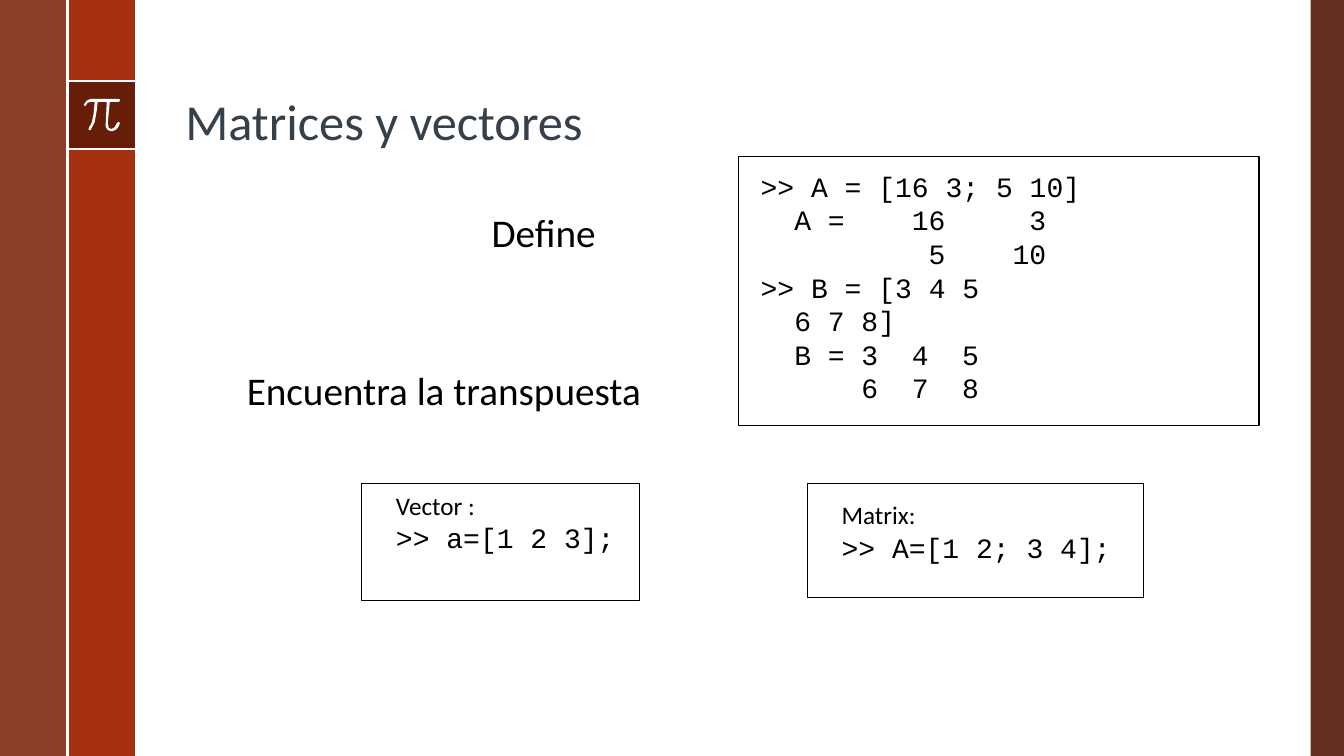
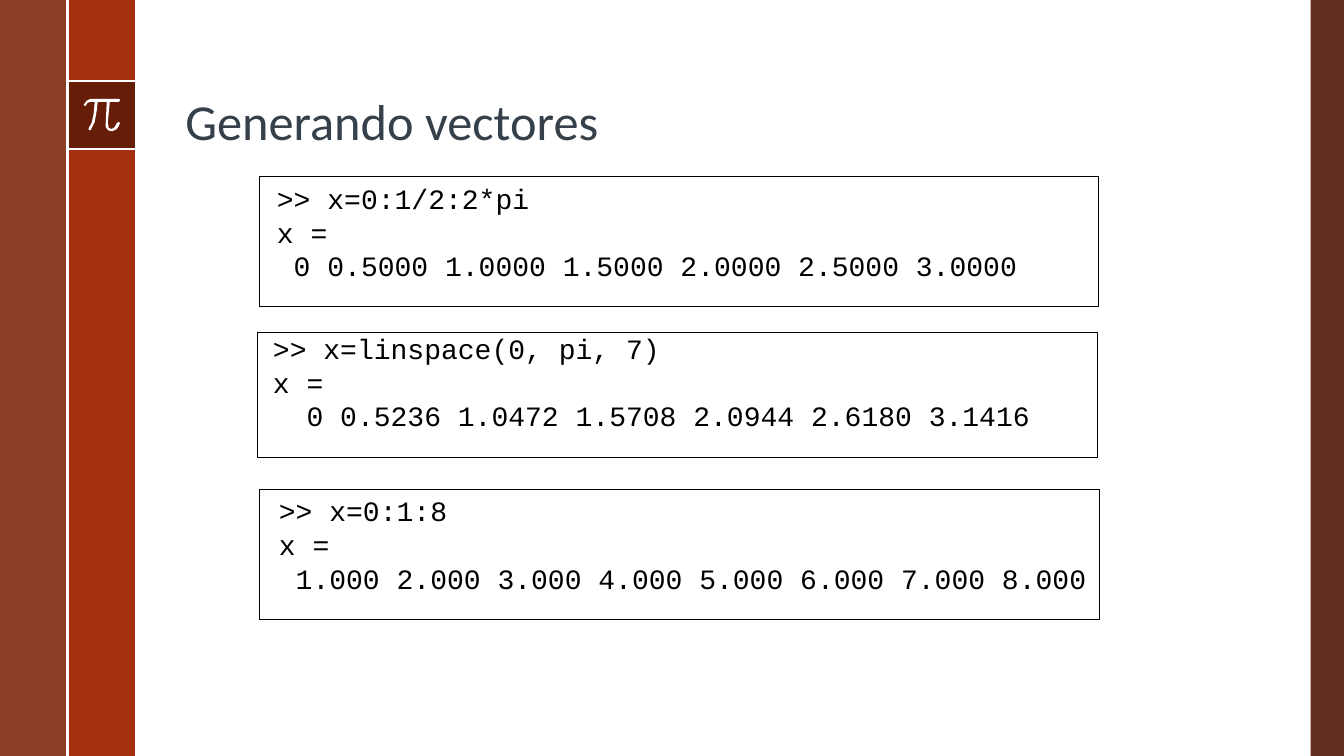
from pptx import Presentation
from pptx.dml.color import RGBColor
from pptx.enum.shapes import MSO_CONNECTOR, MSO_SHAPE
from pptx.enum.text import MSO_ANCHOR
from pptx.oxml.ns import qn
from pptx.util import Cm, Pt
from lxml.etree import SubElement

COLOURS = {
    "rust": "A5300F",
    "brown": "7C240B",
    "dark": "521808",
    "title": "35404A",
    "ink": "000000",
    "white": "FFFFFF",
}
BODY_FONT = "Calibri"
CODE_FONT = "Courier New"
CODE_SIZE = 20
CODE_COLUMN = Pt(CODE_SIZE * 0.6)  # width of one monospaced character

WIDTH, HEIGHT = 33.87, 19.05
RAIL = 1.7
RIGHT_BAND = 0.84
TILE_TOP = 2.05

# Outline of the pi sign, in hundredths of an inch
PI_UNIT = Cm(0.0254)
PI_OUTLINE = [
    (118, 98), (90, 98), (86, 100), (83, 104), (84, 105), (85, 105),
    (87, 102), (90, 101), (94, 101), (93, 113), (91, 122), (88, 127),
    (88, 129), (90, 129), (94, 121), (96, 110), (97, 101), (106, 101),
    (105, 122), (105, 126), (107, 129), (110, 130), (112, 130), (116, 128),
    (118, 125), (119, 122), (118, 121), (116, 122), (114, 126), (111, 128),
    (108, 127), (107, 122), (109, 101), (118, 101), (119, 100), (119, 99),
]


def rgb(name):
    return RGBColor.from_string(COLOURS[name])


# Shapes and lines
def add_band(page, left, top, width, height, colour, opacity=100):
    band = page.shapes.add_shape(
        MSO_SHAPE.RECTANGLE, Cm(left), Cm(top), Cm(width), Cm(height))
    band.shadow.inherit = False
    band.fill.solid()
    band.fill.fore_color.rgb = rgb(colour)
    band.line.fill.background()
    if opacity < 100:
        tint = band.element.spPr.find(".//" + qn("a:srgbClr"))
        SubElement(tint, qn("a:alpha"), val=str(opacity * 1000))


def add_rule(page, x1, y1, x2, y2):
    rule = page.shapes.add_connector(
        MSO_CONNECTOR.STRAIGHT, Cm(x1), Cm(y1), Cm(x2), Cm(y2))
    rule.line.color.rgb = rgb("white")
    rule.line.width = Pt(1.5)
    SubElement(rule.element.spPr, qn("a:effectLst"))


def add_pi(page):
    builder = page.shapes.build_freeform(*PI_OUTLINE[0], scale=PI_UNIT)
    builder.add_line_segments(PI_OUTLINE[1:], close=True)
    sign = builder.convert_to_shape()
    sign.shadow.inherit = False
    sign.fill.solid()
    sign.fill.fore_color.rgb = rgb("white")
    sign.line.fill.background()


def add_frame(page, left, top, width, height):
    frame = page.shapes.add_shape(
        MSO_SHAPE.RECTANGLE, Cm(left), Cm(top), Cm(width), Cm(height))
    frame.shadow.inherit = False
    frame.fill.background()
    frame.line.color.rgb = rgb("ink")
    frame.line.width = Pt(0.75)


# Text
def style(para, font, size, colour="ink"):
    for span in para.runs:
        span.font.name = font
        span.font.size = Pt(size)
        span.font.color.rgb = rgb(colour)


def add_box(page, left, top, width, height):
    box = page.shapes.add_textbox(Cm(left), Cm(top), Cm(width), Cm(height))
    box.text_frame.word_wrap = True
    return box.text_frame


def add_prose(page, text, place, size=28, colour="ink", anchor=MSO_ANCHOR.TOP):
    frame = add_box(page, *place)
    frame.vertical_anchor = anchor
    frame.text = text
    para = frame.paragraphs[0]
    para.line_spacing = 0.9
    style(para, BODY_FONT, size, colour)


def set_tabs(para, columns):
    tabs = SubElement(para._p.get_or_add_pPr(), qn("a:tabLst"))
    for column in columns:
        SubElement(tabs, qn("a:tab"), pos=str(column * CODE_COLUMN), algn="l")


def add_code(page, lines, place, caption=None):
    """Each line is its text, followed by the character columns of its tabs."""
    frame = add_box(page, *place)
    captions = [caption] if caption else []
    frame.text = "\n".join(captions + [text for text, *_ in lines])
    paras = list(frame.paragraphs)
    if caption:
        style(paras.pop(0), BODY_FONT, 18)
    for para, (_, *columns) in zip(paras, lines):
        style(para, CODE_FONT, CODE_SIZE)
        if columns:
            set_tabs(para, columns)


# Shared page with side bands, pi tile and title
def add_page(deck, title):
    page = deck.slides.add_slide(deck.slide_layouts[6])
    add_band(page, WIDTH - RIGHT_BAND, 0, RIGHT_BAND, HEIGHT, "dark", 90)
    add_band(page, RAIL, 0, RAIL, HEIGHT, "rust")
    add_band(page, 0, 0, RAIL, HEIGHT, "brown", 88)
    add_band(page, RAIL, TILE_TOP, RAIL, RAIL, "dark", 75)
    for y in (TILE_TOP, TILE_TOP + RAIL):
        add_rule(page, RAIL, y, 2 * RAIL, y)
    add_pi(page)
    add_rule(page, RAIL, 0, RAIL, HEIGHT)
    add_prose(page, title, (4.42, 0.48, 27.18, 3.46), 36, "title",
              MSO_ANCHOR.BOTTOM)
    return page


def add_matrices_page(deck):
    page = add_page(deck, "Matrices y vectores")

    # Input examples
    add_frame(page, 9.12, 12.19, 7.01, 2.95)
    add_code(page, [(">> a=[1 2 3];",)], (9.73, 12.22, 6.1, 1.32), "Vector :")
    add_frame(page, 20.35, 12.19, 8.46, 2.87)
    add_code(page, [(">> A=[1 2; 3 4];",)], (20.96, 12.47, 7.37, 1.24),
             "Matrix:")

    # Session defining both matrices
    add_frame(page, 18.6, 3.94, 13.13, 6.78)
    add_code(page, [
        (">> A = [16 3; 5 10]",),
        ("\tA =\t16\t3", 2, 9, 16),
        ("\t5\t10", 10, 15),
        (">> B = [3 4 5",),
        ("\t6 7 8]", 2),
        ("\tB = 3\t4\t5", 2, 9, 12),
        ("\t6\t7\t8", 6, 9, 12),
    ], (18.92, 4.14, 9.83, 6.17))

    # Tasks
    add_prose(page, "Define", (12.14, 5.26, 4.6, 1.35))
    add_prose(page, "Encuentra la transpuesta", (5.97, 9.25, 11.1, 2.41))


def add_vectors_page(deck):
    page = add_page(deck, "Generando vectores")
    # Frame left and height, text left and top, code lines
    panels = [
        (6.53, 3.28, 6.73, 4.45, [
            (">> x=0:1/2:2*pi",), ("x =",),
            (" 0 0.5000 1.0000 1.5000 2.0000 2.5000 3.0000",)]),
        (6.5, 3.15, 6.63, 8.23, [
            (">> x=linspace(0, pi, 7)",), ("x =",),
            ("\t0 0.5236 1.0472 1.5708 2.0944 2.6180 3.1416", 2)]),
        (6.55, 3.28, 6.78, 12.32, [
            (">> x=0:1:8",), ("x =",),
            (" 1.000 2.000 3.000 4.000 5.000 6.000 7.000 8.000",)]),
    ]
    for index, (left, height, text_left, text_top, lines) in enumerate(panels):
        add_frame(page, left, 4.45 + 3.94 * index, 21.16, height)
        add_code(page, lines, (text_left, text_top, 21.03, 2.82))


def main():
    deck = Presentation()
    deck.slide_width = Cm(WIDTH)
    deck.slide_height = Cm(HEIGHT)
    add_matrices_page(deck)
    add_vectors_page(deck)
    deck.save("out.pptx")


if __name__ == "__main__":
    main()
